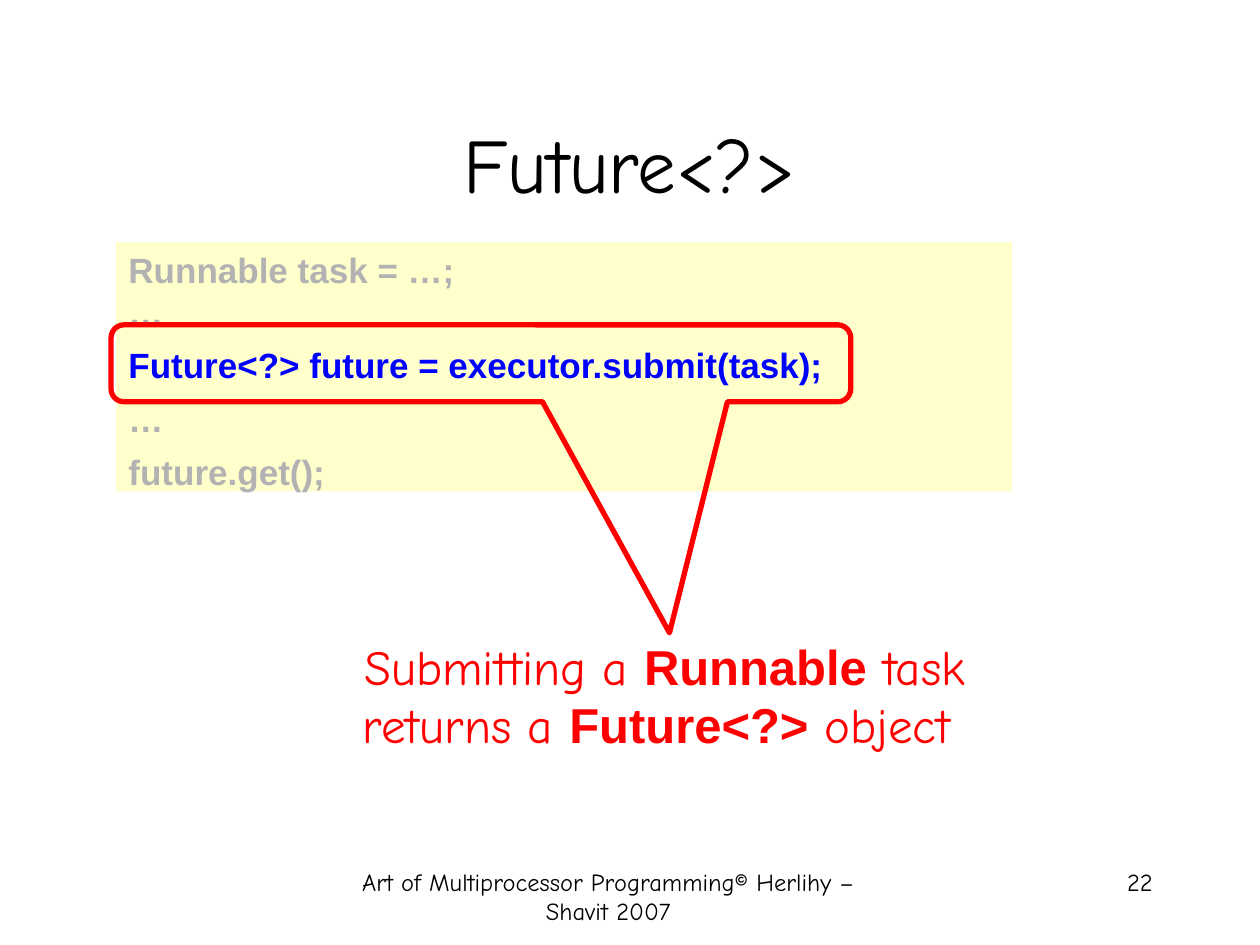
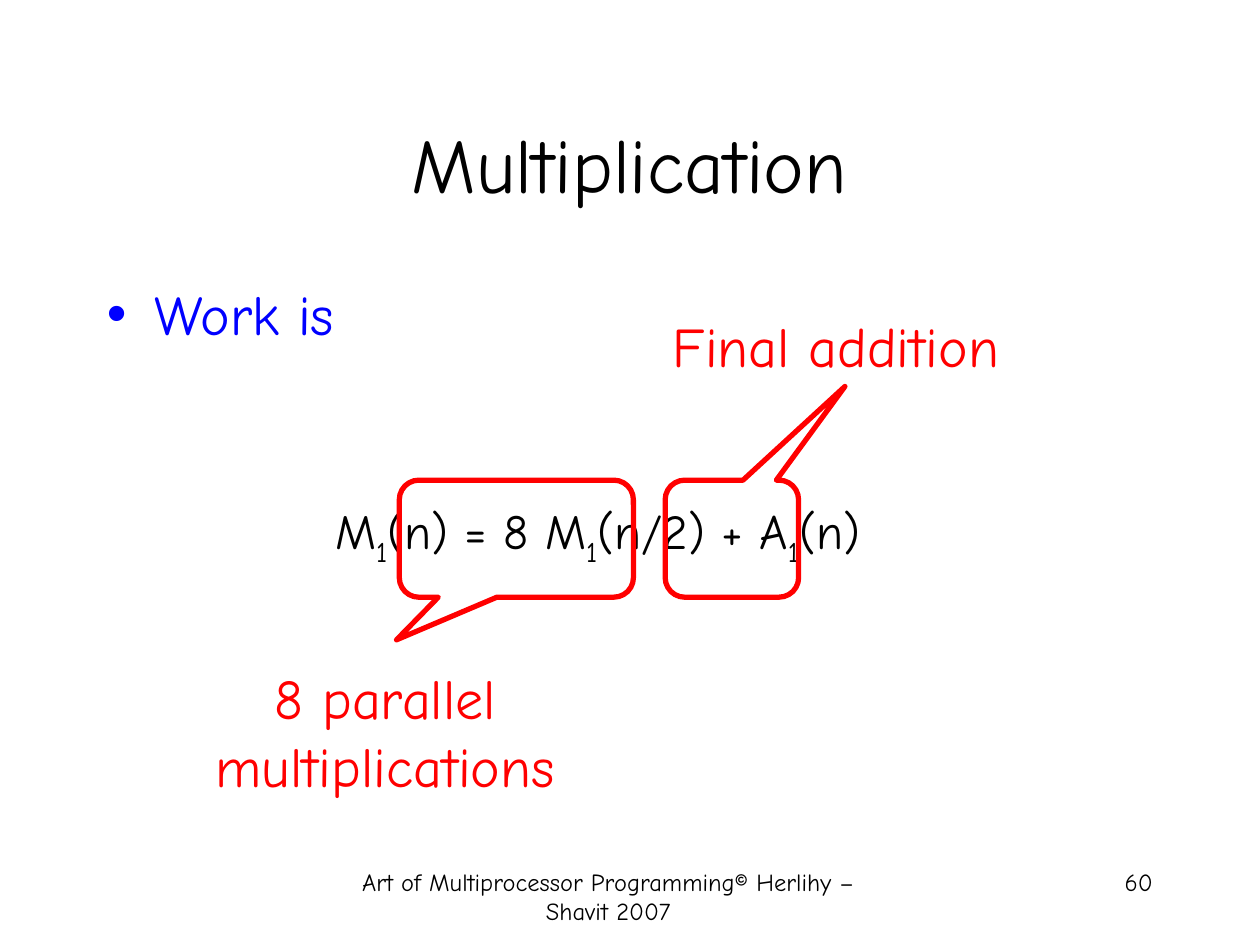
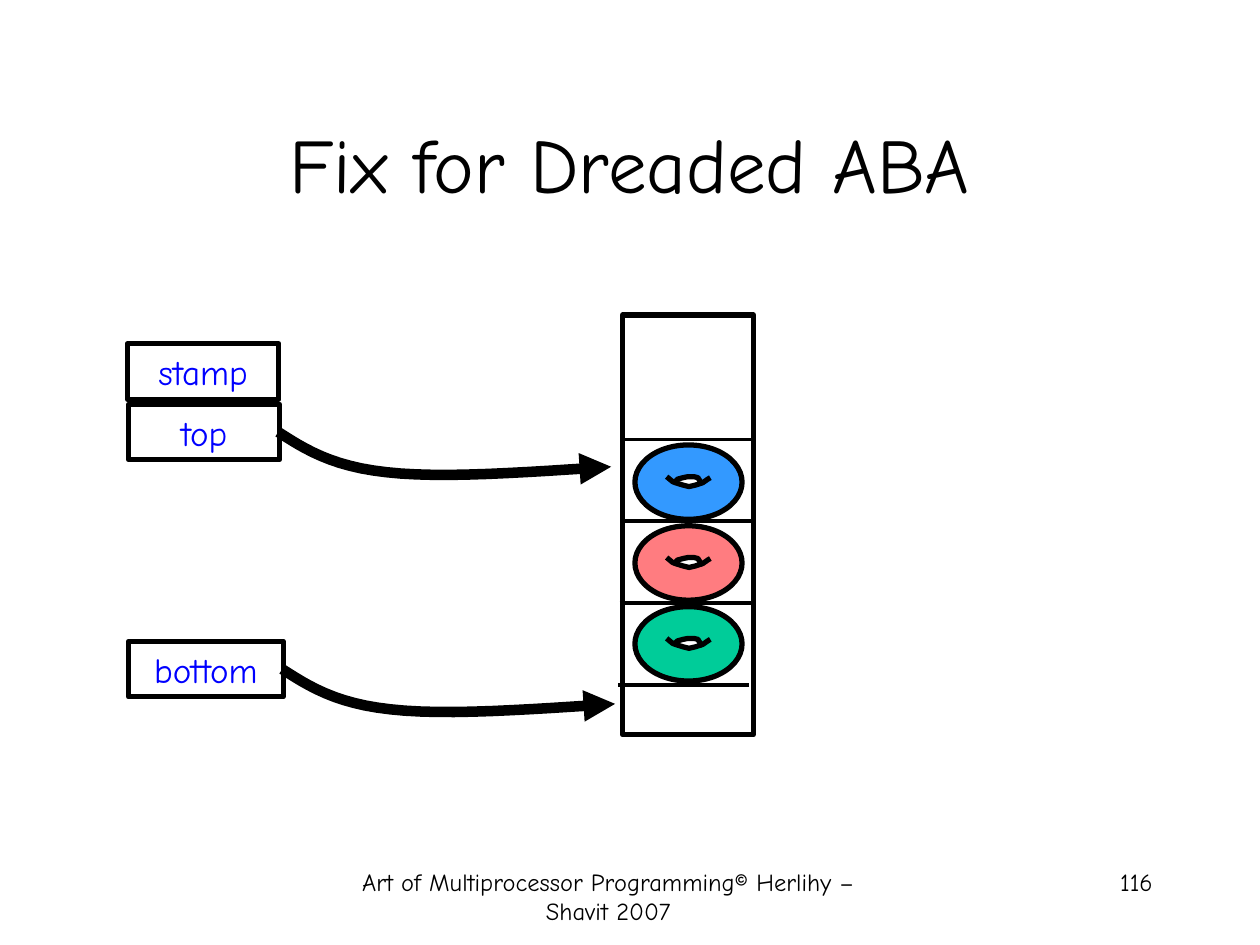
import pptx
import pptx.util
import pptx.dml.color
import pptx.enum.shapes
import pptx.enum.text
import pptx.oxml.ns
from lxml import etree

Cm = pptx.util.Cm
Pt = pptx.util.Pt
SHAPE = pptx.enum.shapes.MSO_SHAPE
ALIGN = pptx.enum.text.PP_ALIGN
ANCHOR = pptx.enum.text.MSO_ANCHOR
qn = pptx.oxml.ns.qn

BLACK, RED, BLUE, GREY = "000000", "FF0000", "0000FF", "B2B2B2"
BODY_FONT, CODE_FONT = "Comic Neue", "Arial"
TITLE_BOX = (1.9, 1.7, 21.59, 3.17)
BODY_BOX = (1.9, 5.51, 21.59, 11.43)
FOOTER = "Art of Multiprocessor Programming© Herlihy –Shavit 2007"
FOOTER_BOX = (6.45, 17.35, 11.63, 1.27)
NUMBER_BOX = (18.21, 17.35, 5.28, 1.27)

CODE_BOX = (2.34, 4.88, 18.06, 5.03)
CODE = [
    ("Runnable task = …;", GREY, 0),
    ("…", GREY, 0),
    ("Future<?> future = executor.submit(task);", BLUE, 6.5),
    ("…", GREY, 6.5),
    ("future.get();", GREY, 6.5),
]
SUBMIT_CALLOUT = ((2.24, 6.55, 14.91, 1.55), (0.255, 3.506, 0.167))
SUBMIT_BOX = (5.46, 12.7, 15.88, 2.64)
SUBMIT_NOTE = [
    ("Submitting a ", ""), ("Runnable", "code"), (" task returns a ", ""),
    ("Future<?>", "code"), (" object ", ""),
]

EQUATION = [
    ("M", ""), ("1", "sub"), ("(n) = 8 M", ""), ("1", "sub"),
    ("(n/2) + A", ""), ("1", "sub"), ("(n)", ""),
]
TERMS = [
    ((8.05, 9.68, 4.72, 2.36), (-0.512, 0.864, 0.167),
     "8 parallel multiplications", (2.46, 13.26, 10.62, 2.97), True),
    ((13.41, 9.68, 2.69, 2.36), (0.847, -1.3, 0.167),
     "Final addition", (13.31, 6.15, 7.09, 1.63), False),
]

STACK_BOX = (12.55, 6.35, 2.64, 8.46)
DIVIDERS, DIVIDER_TOP, DIVIDER_STEP, DIVIDER_SHIFT = 4, 8.86, 1.65, 0.03
DONUTS = ["3399FF", "FF7C80", "00CC99"]
DONUT_LEFT, DONUT_TOP, DONUT_STEP = 12.8, 8.97, 1.63
DONUT_SIZE = (2.16, 1.5)
HOLE = [(0.81, 0.76), (0.86, 0.79), (0.91, 0.81), (0.99, 0.81), (1.14, 0.84),
        (1.35, 0.81), (1.22, 0.66), (1.17, 0.64), (0.91, 0.66), (0.84, 0.71)]
UPPER_LIP = [(0.79, 0.76), (0.86, 0.69), (0.97, 0.66), (1.07, 0.64),
             (1.19, 0.64), (1.27, 0.66), (1.35, 0.79)]
LOWER_LIP = [(0.64, 0.64), (0.76, 0.74), (0.81, 0.76), (0.97, 0.81), (1.09, 0.84),
             (1.22, 0.81), (1.37, 0.76), (1.47, 0.69), (1.52, 0.66)]
LABELS = [
    ("stamp", (2.57, 6.93, 3.05, 1.12)),
    ("top", (2.59, 8.15, 3.05, 1.12)),
    ("bottom", (2.59, 12.93, 3.12, 1.12)),
]
POINTER_STARTS = [(5.69, 13.49), (5.61, 8.71)]
POINTER_CURVE = [(0, 0), (0.53, 0.34), (1.07, 0.69), (2.18, 0.81),
                 (3.3, 0.94), (5, 0.81), (6.71, 0.7)]


def rgb(value):
    return pptx.dml.color.RGBColor.from_string(value)


def place(sp, box):
    sp.left, sp.top, sp.width, sp.height = (Cm(v) for v in box)


def paint(sp, fill=None, line=None, width=3):
    sp.shadow.inherit = False
    if fill:
        sp.fill.solid()
        sp.fill.fore_color.rgb = rgb(fill)
    else:
        sp.fill.background()
    if line:
        sp.line.color.rgb = rgb(line)
        sp.line.width = Pt(width)
    else:
        sp.line.fill.background()


def add_runs(p, runs, size, color, align=ALIGN.CENTER):
    p.alignment = align
    for text, kind in runs:
        r = p.add_run()
        r.text = text
        r.font.name = CODE_FONT if kind == "code" else BODY_FONT
        r.font.size = Pt(size)
        r.font.bold = kind == "code"
        r.font.color.rgb = rgb(color)
        if kind == "sub":
            r._r.get_or_add_rPr().set("baseline", "-25000")


def add_text(s, box, runs, size, color, align=ALIGN.CENTER, wrap=True):
    tf = s.shapes.add_textbox(*(Cm(v) for v in box)).text_frame
    tf.word_wrap = wrap
    add_runs(tf.paragraphs[0], runs, size, color, align)


def add_box(shapes, kind, box, fill=None, line=BLACK):
    sp = shapes.add_shape(kind, *(Cm(v) for v in box))
    paint(sp, fill, line)
    return sp


def add_callout(s, box, adjustments):
    sp = add_box(s.shapes, SHAPE.ROUNDED_RECTANGULAR_CALLOUT, box, line=RED)
    for i, value in enumerate(adjustments):
        sp.adjustments[i] = value


def add_outline(shapes, origin, points, fill=None, width=3):
    x, y = origin
    points = [(Cm(x + dx), Cm(y + dy)) for dx, dy in points]
    builder = shapes.build_freeform(*points[0])
    builder.add_line_segments(points[1:], close=fill is not None)
    sp = builder.convert_to_shape()
    paint(sp, fill, BLACK, width)
    return sp


def bezier(controls, steps=12):
    points = [controls[0]]
    for k in range(0, len(controls) - 1, 3):
        a, b, c, d = controls[k:k + 4]
        for i in range(1, steps + 1):
            t = i / steps
            u = 1 - t
            points.append(tuple(
                u**3 * a[j] + 3 * u * u * t * b[j] + 3 * u * t * t * c[j] + t**3 * d[j]
                for j in (0, 1)))
    return points


def new_slide(prs, layout, title, number):
    s = prs.slides.add_slide(prs.slide_layouts[layout])
    place(s.shapes.title, TITLE_BOX)
    tf = s.shapes.title.text_frame
    tf.auto_size = pptx.enum.text.MSO_AUTO_SIZE.NONE
    tf.vertical_anchor = ANCHOR.MIDDLE
    add_runs(tf.paragraphs[0], [(title, "")], 44, BLACK)
    add_text(s, FOOTER_BOX, [(FOOTER, "")], 14, BLACK)
    add_text(s, NUMBER_BOX, [(str(number), "")], 14, BLACK, ALIGN.RIGHT)
    return s


def future_slide(prs):
    s = new_slide(prs, 5, "Future<?>", 22)
    sp = add_box(s.shapes, SHAPE.RECTANGLE, CODE_BOX, "FFFFCC", None)
    tf = sp.text_frame
    tf.word_wrap = True
    tf.vertical_anchor = ANCHOR.TOP
    for i, (text, color, before) in enumerate(CODE):
        p = tf.add_paragraph() if i else tf.paragraphs[0]
        p.space_before = Pt(before)
        add_runs(p, [(text, "code")], 20, color, ALIGN.LEFT)
    add_callout(s, *SUBMIT_CALLOUT)
    add_text(s, SUBMIT_BOX, SUBMIT_NOTE, 28, RED)


def multiplication_slide(prs):
    s = new_slide(prs, 1, "Multiplication", 60)
    body = s.placeholders[1]
    place(body, BODY_BOX)
    tf = body.text_frame
    tf.auto_size = pptx.enum.text.MSO_AUTO_SIZE.NONE
    p = tf.paragraphs[0]
    p.space_before = Pt(0)
    add_runs(p, [("Work is", "")], 32, BLUE, ALIGN.LEFT)
    p = tf.add_paragraph()
    p.level = 1
    pPr = p._p.get_or_add_pPr()
    pPr.set("marL", str(Cm(4.6)))
    pPr.set("indent", "0")
    etree.SubElement(pPr, qn("a:buNone"))
    p.space_before = Pt(88)
    add_runs(p, EQUATION, 28, BLACK, ALIGN.LEFT)
    for box, adjustments, note, note_box, wrap in TERMS:
        add_callout(s, box, adjustments)
        add_text(s, note_box, [(note, "")], 32, RED, wrap=wrap)


def aba_slide(prs):
    s = new_slide(prs, 5, "Fix for Dreaded ABA", 116)
    add_box(s.shapes, SHAPE.RECTANGLE, STACK_BOX)
    for i, color in enumerate(DONUTS):
        origin = (DONUT_LEFT, DONUT_TOP + i * DONUT_STEP)
        shapes = s.shapes.add_group_shape().shapes
        add_box(shapes, SHAPE.OVAL, origin + DONUT_SIZE, color)
        add_outline(shapes, origin, HOLE, "FFFFFF", 0.75)
        add_outline(shapes, origin, UPPER_LIP)
        add_outline(shapes, origin, LOWER_LIP)
    for text, box in LABELS:
        tf = add_box(s.shapes, SHAPE.RECTANGLE, box).text_frame
        tf.vertical_anchor = ANCHOR.MIDDLE
        add_runs(tf.paragraphs[0], [(text, "")], 20, BLUE)
    for i in range(DIVIDERS):
        x, y = STACK_BOX[0] - i * DIVIDER_SHIFT, DIVIDER_TOP + i * DIVIDER_STEP
        line = s.shapes.add_connector(
            pptx.enum.shapes.MSO_CONNECTOR.STRAIGHT,
            Cm(x), Cm(y), Cm(x + STACK_BOX[2]), Cm(y))
        line.line.color.rgb = rgb(BLACK)
        line.line.width = Pt(2.25)
        etree.SubElement(line._element.spPr, qn("a:effectLst"))
    for start in POINTER_STARTS:
        sp = add_outline(s.shapes, start, bezier(POINTER_CURVE), width=6)
        ln = sp.line._get_or_add_ln()
        etree.SubElement(ln, qn("a:tailEnd"), type="triangle")


def main():
    prs = pptx.Presentation()
    prs.slide_width, prs.slide_height = Cm(25.4), Cm(19.05)
    future_slide(prs)
    multiplication_slide(prs)
    aba_slide(prs)
    prs.save("out.pptx")


if __name__ == "__main__":
    main()
